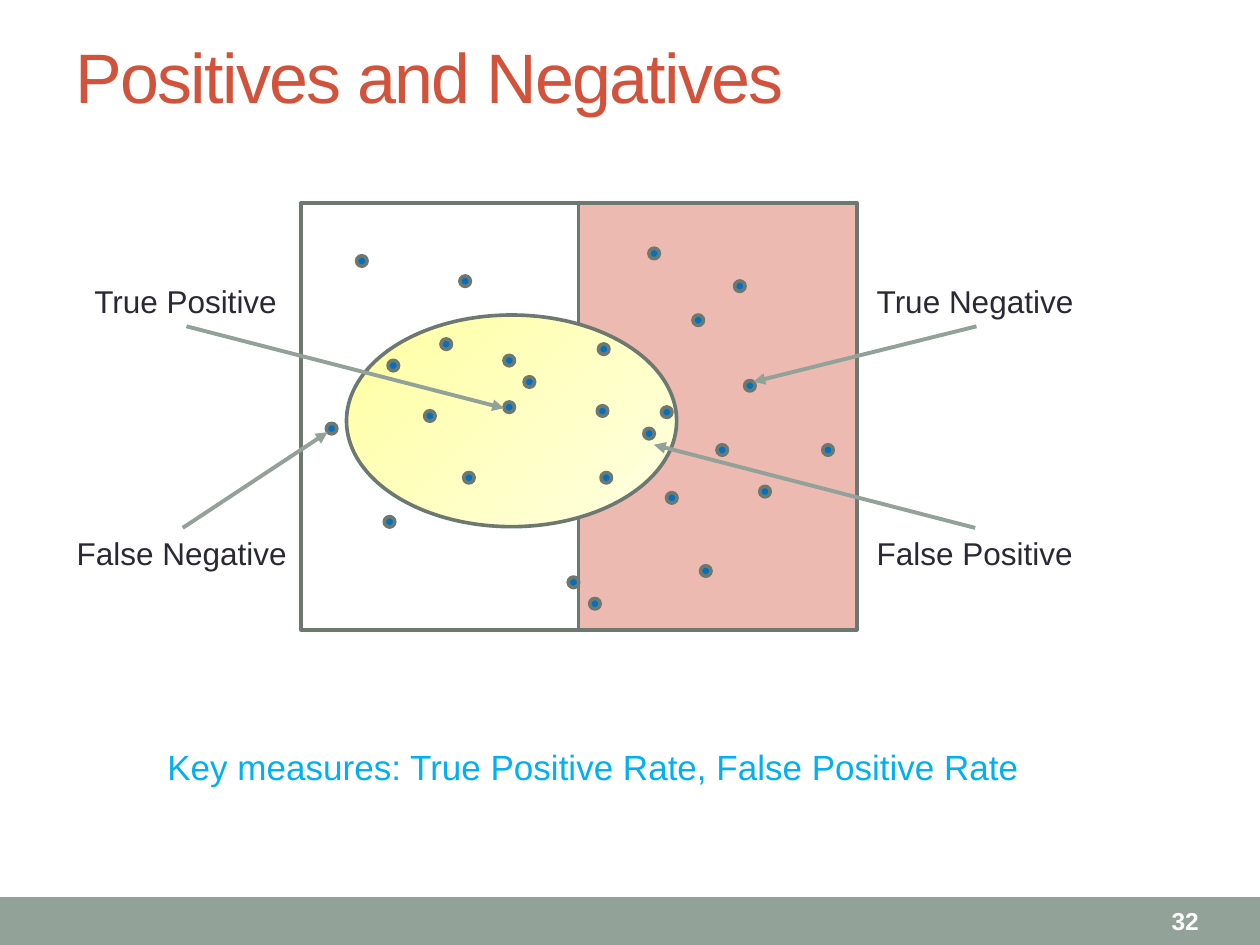
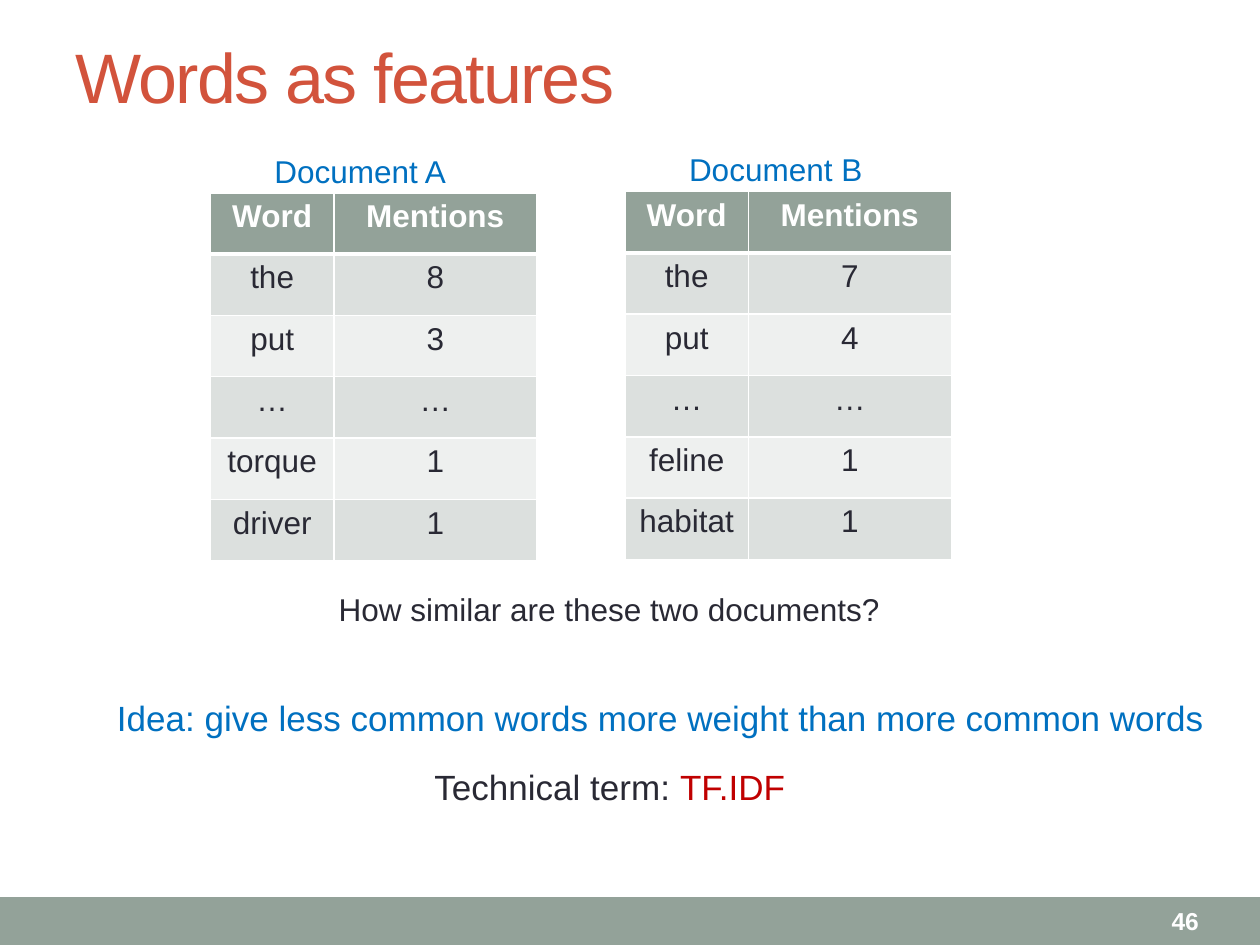
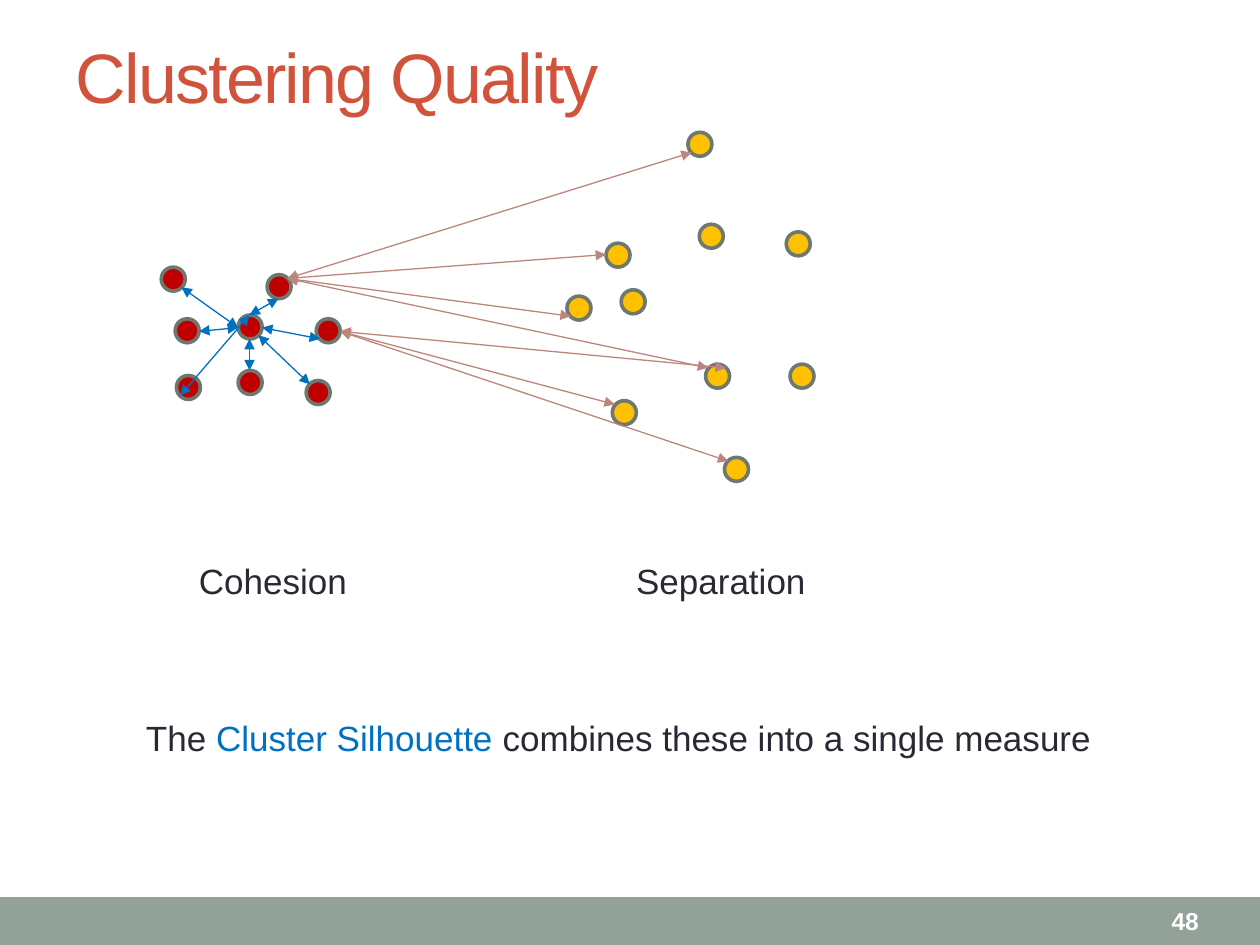
import pptx
import pptx.dml.color
import pptx.enum.shapes
import pptx.enum.text
import pptx.oxml
import pptx.oxml.ns
import pptx.util

RGBColor = pptx.dml.color.RGBColor
Shapes = pptx.enum.shapes.MSO_SHAPE
Align = pptx.enum.text.PP_ALIGN
Anchor = pptx.enum.text.MSO_ANCHOR
AutoSize = pptx.enum.text.MSO_AUTO_SIZE

# Shared look
FONT = "Arial"
INK = RGBColor(0x29, 0x29, 0x34)
WHITE = RGBColor(0xFF, 0xFF, 0xFF)
SAGE = RGBColor(0x93, 0xA2, 0x99)
OUTLINE = RGBColor(0x6D, 0x78, 0x71)
TITLE_RED = RGBColor(0xD2, 0x53, 0x3C)
PINK = RGBColor(0xED, 0xBA, 0xB1)
BLUE = RGBColor(0x00, 0x70, 0xC0)
SKY = RGBColor(0x00, 0xB0, 0xF0)
RED = RGBColor(0xC0, 0x00, 0x00)
GOLD = RGBColor(0xFF, 0xC0, 0x00)
ROSE = RGBColor(0xBD, 0x86, 0x7C)
PALE_YELLOW = RGBColor(0xFF, 0xFF, 0xA0)
CREAM = RGBColor(0xFF, 0xFF, 0xE3)
ROW_DARK = RGBColor(0xDC, 0xE0, 0xDE)
ROW_LIGHT = RGBColor(0xEE, 0xF0, 0xEF)

# The slide is a grid of 100 columns by 75 rows
COLUMNS, ROWS = 100, 75
CELL = pptx.util.Inches(0.1)

# Slide 1: top left corners of the dots
SAMPLES = [
    (28.3, 20.3), (36.5, 21.9), (30.8, 28.6), (33.7, 32.6), (35, 26.9),
    (36.8, 37.5), (40, 28.2), (40, 31.9), (41.6, 29.9), (30.5, 41),
    (25.9, 33.6), (47.7, 37.5), (55, 25), (47.5, 27.3), (51.1, 34),
    (47.4, 32.2), (45.1, 45.8), (46.8, 47.5), (52.9, 39.1), (56.9, 35.3),
    (55.6, 44.9), (60.3, 38.6), (65.3, 35.3), (59.1, 30.2), (51.5, 19.7),
    (58.3, 22.3), (52.5, 32.3),
]
# Label, its corner, its width, and the arrow's start and end
OUTCOMES = [
    ("True Positive", (6.5, 21.9), 16.7, (14.8, 25.9), (40, 32.4)),
    ("False Negative", (5.1, 41.9), 18.8, (14.5, 41.9), (26, 34.3)),
    ("True Negative", (68.6, 21.9), 17.8, (77.5, 25.9), (59.8, 30.3)),
    ("False Positive", (68.6, 41.9), 17.7, (77.4, 41.9), (51.9, 35.3)),
]

# Slide 2: word counts
MENTIONS_A = [("the", "8"), ("put", "3"), ("…", "…"),
              ("torque", "1"), ("driver", "1")]
MENTIONS_B = [("the", "7"), ("put", "4"), ("…", "…"),
              ("feline", "1"), ("habitat", "1")]

# Slide 3: clusters and the distances inside and between them
RED_CLUSTER = [
    (21.2, 21.8), (13.9, 25.3), (25.1, 25.3), (18.9, 29.4),
    (24.3, 30.2), (18.9, 25), (14, 29.8), (12.8, 21.2),
]
GOLD_CLUSTER = [
    (48.1, 19.3), (45, 23.5), (49.3, 23), (48.6, 31.8), (57.5, 36.3),
    (62.7, 28.9), (62.4, 18.4), (54.6, 10.5), (56, 28.9), (55.5, 17.8),
]
COHESION = [
    ((14.4, 22.8), (18.9, 26)), ((15.8, 26.3), (18.9, 26)),
    ((19.8, 26.9), (19.8, 29.4)), ((20.5, 26.6), (24.6, 30.5)),
    ((19.8, 25), (14.3, 31.4)), ((20.8, 26), (25.4, 26.9)),
    ((19.8, 25), (22.1, 23.7)),
]
UPPER_RED, RIGHT_RED = (22.8, 22.1), (27, 26.3)
SEPARATION = [
    (UPPER_RED, (45.3, 25.1)), (UPPER_RED, (48.1, 20.2)),
    (RIGHT_RED, (48.8, 32.1)), (RIGHT_RED, (57.6, 29.2)),
    (RIGHT_RED, (57.8, 36.6)), (UPPER_RED, (54.9, 12.1)),
    (UPPER_RED, (56.2, 29.2)),
]


def grid(*counts):
    return [round(count * CELL) for count in counts]


def write(para, text, size=18, color=INK, bold=False, spacing=None):
    span = para.add_run()
    span.text = text
    span.font.name = FONT
    span.font.size = pptx.util.Pt(size)
    span.font.bold = bold
    span.font.color.rgb = color
    if spacing is not None:
        span._r.get_or_add_rPr().set("spc", str(spacing * 100))


def add_label(page, corner, width, *parts, size=18, height=4):
    """Each part is a (text, colour) pair."""
    box = page.shapes.add_textbox(*grid(*corner, width, height))
    box.text_frame.word_wrap = False
    box.text_frame.auto_size = AutoSize.SHAPE_TO_FIT_TEXT
    for text, color in parts:
        write(box.text_frame.paragraphs[0], text, size=size, color=color)


def add_figure(page, preset, corner, size, fill=None, line=OUTLINE):
    figure = page.shapes.add_shape(preset, *grid(*corner, *size))
    figure.shadow.inherit = False
    if fill is not None:
        figure.fill.solid()
        figure.fill.fore_color.rgb = fill
    if line is None:
        figure.line.fill.background()
    else:
        figure.line.color.rgb = line
        figure.line.width = pptx.util.Pt(2.08)
    return figure


def add_dots(page, corners, diameter, color):
    for corner in corners:
        add_figure(page, Shapes.OVAL, corner, (diameter, diameter), color)


def add_arrow(shapes, start, end, color, width, ends=("tailEnd",)):
    arrow = shapes.add_connector(
        pptx.enum.shapes.MSO_CONNECTOR.STRAIGHT, *grid(*start, *end))
    arrow.line.color.rgb = color
    arrow.line.width = pptx.util.Pt(width)
    for name in ends:
        tip = pptx.oxml.ns.qn("a:" + name)
        arrow.line._get_or_add_ln().append(
            arrow._element.makeelement(tip, {"type": "triangle"}))
    arrow._element.spPr.append(
        arrow._element.makeelement(pptx.oxml.ns.qn("a:effectLst"), {}))


def add_distances(page, distances, color):
    group = page.shapes.add_group_shape()
    for start, end in distances:
        add_arrow(group.shapes, start, end, color, 0.75,
                  ends=("headEnd", "tailEnd"))


def add_page(deck, title, number):
    page = deck.slides.add_slide(deck.slide_layouts.get_by_name("Title Only"))
    add_figure(page, Shapes.RECTANGLE, (0, 71.2), (COLUMNS, 4), SAGE, line=None)
    # Title
    heading = page.shapes.title
    heading.left, heading.top, heading.width, heading.height = grid(
        5, 0.6, 90, 10.8)
    heading.text_frame.auto_size = AutoSize.NONE
    heading.text_frame.vertical_anchor = Anchor.MIDDLE
    para = heading.text_frame.paragraphs[0]
    para.alignment = Align.LEFT
    write(para, title, size=40, color=TITLE_RED, spacing=-1)
    # Slide number
    box = page.shapes.add_textbox(*grid(92, 71.3, 7.7, 3.6))
    box.text_frame.word_wrap = True
    box.text_frame.vertical_anchor = Anchor.MIDDLE
    write(box.text_frame.paragraphs[0], str(number), size=14, color=WHITE,
          bold=True)
    return page


def add_borders(cell, bottom):
    properties = cell._tc.get_or_add_tcPr()
    for side, width in (("L", 1), ("R", 1), ("T", 1), ("B", bottom)):
        properties.append(pptx.oxml.parse_xml(
            f'<a:ln{side} {pptx.oxml.ns.nsdecls("a")} '
            f'w="{pptx.util.Pt(width)}"><a:solidFill>'
            f'<a:srgbClr val="{WHITE}"/></a:solidFill></a:ln{side}>'))


def add_mentions(page, corner, counts):
    rows = [("Word", "Mentions"), *counts]
    widths = (9.8, 16.1)
    row_height = 4.87
    table = page.shapes.add_table(
        len(rows), len(widths),
        *grid(*corner, sum(widths), row_height * len(rows))).table
    for column, width in zip(table.columns, grid(*widths)):
        column.width = width
    for row_index, texts in enumerate(rows):
        header = row_index == 0
        fill = SAGE if header else (ROW_LIGHT, ROW_DARK)[row_index % 2]
        for column_index, text in enumerate(texts):
            cell = table.cell(row_index, column_index)
            add_borders(cell, bottom=3 if header else 1)
            cell.fill.solid()
            cell.fill.fore_color.rgb = fill
            para = cell.text_frame.paragraphs[0]
            para.alignment = Align.CENTER
            write(para, text, color=WHITE if header else INK, bold=header)


def build_positives(deck):
    page = add_page(deck, "Positives and Negatives", 32)
    # Actual classes, and the ellipse of predicted positives
    for left, fill in ((23.9, WHITE), (45.9, PINK)):
        add_figure(page, Shapes.RECTANGLE, (left, 16.1), (22.1, 33.9), fill)
    predicted = add_figure(page, Shapes.OVAL, (27.5, 25), (26.2, 16.8))
    predicted.fill.gradient()
    predicted.fill.gradient_angle = 315
    for stop, color in zip(predicted.fill.gradient_stops,
                           (PALE_YELLOW, CREAM)):
        stop.color.rgb = color
    add_dots(page, SAMPLES, 0.83, BLUE)
    # Labelled outcomes
    for text, corner, width, start, end in OUTCOMES:
        add_label(page, corner, width, (text, INK))
        add_arrow(page.shapes, start, end, SAGE, 2.25)
    add_label(page, (12.3, 58.7), 70.9,
              ("Key measures: True Positive Rate, False Positive Rate", SKY),
              size=20, height=4.4)


def build_words(deck):
    page = add_page(deck, "Words as features", 46)
    add_mentions(page, (16.7, 15.3), MENTIONS_A)
    add_mentions(page, (49.6, 15.2), MENTIONS_B)
    add_label(page, (20.8, 11.55), 15.8, ("Document A", BLUE))
    add_label(page, (53.7, 11.45), 15.9, ("Document B", BLUE))
    add_label(page, (25.9, 46.3), 45.4,
              ("How similar are these two documents?", INK))
    add_label(page, (8.3, 54.8), 88.9,
              ("Idea: give less common words more weight than more common "
               "words", BLUE), size=20, height=4.4)
    add_label(page, (33.5, 60.3), 30,
              ("Technical term: ", INK), ("TF.IDF", RED), size=20, height=4.4)


def build_clusters(deck):
    page = add_page(deck, "Clustering Quality", 48)
    add_dots(page, RED_CLUSTER, 1.9, RED)
    add_dots(page, GOLD_CLUSTER, 1.9, GOLD)
    add_distances(page, COHESION, BLUE)
    add_distances(page, SEPARATION, ROSE)
    add_label(page, (14.8, 43.9), 13.9, ("Cohesion", INK), size=20, height=4.4)
    add_label(page, (49.5, 43.9), 15.6, ("Separation", INK),
              size=20, height=4.4)
    add_label(page, (10.6, 56.4), 78.4, ("The ", INK),
              ("Cluster Silhouette ", BLUE),
              ("combines these into a single measure", INK),
              size=20, height=4.4)


def main():
    deck = pptx.Presentation()
    deck.slide_width, deck.slide_height = grid(COLUMNS, ROWS)
    build_positives(deck)
    build_words(deck)
    build_clusters(deck)
    deck.save("out.pptx")


if __name__ == "__main__":
    main()
